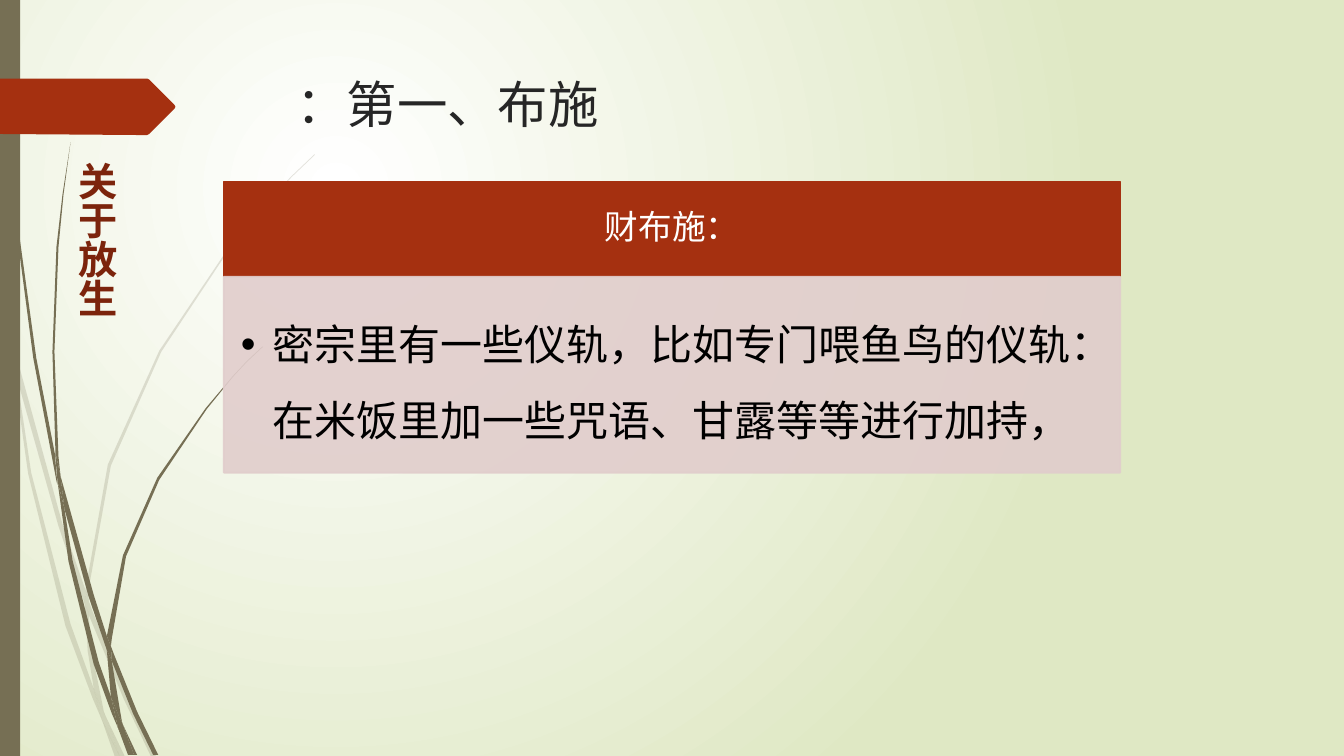
from lxml import etree
from pptx import Presentation
from pptx import util as u
from pptx.dml.color import RGBColor
from pptx.enum import lang, shapes, text
from pptx.oxml.ns import qn

WIDTH, HEIGHT = 13.33, 7.5
FONT = "League Spartan"
COLORS = {
    "white": "FFFFFF", "meadow": "DFE8C4", "stem": "766F54", "brick": "A53010",
    "title": "262626", "rose": "E1CDCC", "black": "000000", "side": "7C240C",
}
# Outlines are x,y corners in hundredths of an inch.
PALE_STEMS = [
    "11,350 9,322 0,282 0,299 10,344",
    "58,522 84,599 85,586 62,520 14,345 17,376",
    "92,607 88,596 88,610 123,694 150,751 155,751 127,692",
    "119,751 124,751 105,711",
    "93,683 70,619 31,469 17,376 11,350 28,470 65,621 92,693 101,714 99,707",
    "84,599 87,646 93,683 96,692 105,711 103,706 91,646 88,610 88,608",
    "88,584 110,462 160,349 229,245 268,198 290,175 312,154 312,153 289,175 268,197 "
    "228,244 158,348 107,461 85,584 85,586 88,596",
    "101,714 114,751 119,751",
    "88,608 88,610 88,596 85,586 84,599",
    "96,692 93,683 99,707 101,714 119,751 105,711",
]
DARK_STEMS = [
    "7,110 17,233 33,355 56,477 57,481 55,457 55,453 36,355 19,232 8,109 5,48 4,0 3,0 4,48",
    "88,592 106,645 106,633 106,631 93,590 60,472 64,505",
    "113,649 110,641 111,656 132,708 152,749 157,749 136,706",
    "110,691 98,657 72,556 64,505 57,477 68,557 93,659 111,708 117,722 116,717",
    "60,472 58,453 54,349 58,245 63,193 70,141 62,193 56,245 52,349 55,449",
    "133,749 136,749 122,719",
    "57,477 64,505 60,472 55,449 55,453",
    "111,633 125,552 158,476 205,406 231,374 245,359 261,344 260,344 245,358 231,373 "
    "204,405 156,474 122,551 106,631 110,641",
    "117,722 127,749 131,749",
    "106,645 110,691 116,706 122,719 121,716 111,656 109,651",
    "106,645 109,651 111,656 110,641 106,631 106,633",
    "116,706 110,691 116,717 117,722 130,749 133,749 122,719",
]
PAGE_TAG = "173,108 148,133 146,134 136,134 0,133 0,78 136,78 146,78 148,79 173,104 174,106"


def set_alpha(fill, percent):
    color = fill._xPr.find(qn("a:solidFill"))[0]
    etree.SubElement(color, qn("a:alpha"), val=str(percent * 1000))


def paint(fill, color, alpha=100):
    fill.solid()
    fill.fore_color.rgb = RGBColor.from_string(COLORS[color])
    if alpha < 100:
        set_alpha(fill, alpha)


def style(shape, color, alpha=100, outlined=False):
    shape.shadow.inherit = False
    paint(shape.fill, color, alpha)
    if outlined:
        shape.line.width = u.Pt(1.25)
        paint(shape.line.fill, color, alpha)
    else:
        shape.line.fill.background()


def add_outline(slide, corners, color, alpha=100):
    start, *rest = [tuple(map(int, corner.split(","))) for corner in corners.split()]
    builder = slide.shapes.build_freeform(*start, scale=u.Inches(0.01))
    builder.add_line_segments(rest, close=True)
    style(builder.convert_to_shape(), color, alpha)


def add_bar(slide, box, color, alpha=100, outlined=False):
    bar = slide.shapes.add_shape(shapes.MSO_SHAPE.RECTANGLE, *map(u.Inches, box))
    style(bar, color, alpha, outlined)
    return bar


def write(shape, words, size, color, insets=(0.1, 0.05, 0.1, 0.05), bold=False,
          anchor=text.MSO_ANCHOR.TOP, align=text.PP_ALIGN.LEFT, spacing=1.0):
    frame = shape.text_frame
    frame.word_wrap = True
    frame.vertical_anchor = anchor
    (frame.margin_left, frame.margin_top,
     frame.margin_right, frame.margin_bottom) = map(u.Inches, insets)
    paragraph = frame.paragraphs[0]
    paragraph.alignment = align
    paragraph.line_spacing = spacing
    run = paragraph.add_run()
    run.text = words
    font = run.font
    font.name, font.size, font.bold = FONT, u.Pt(size), bold
    font.color.rgb = RGBColor.from_string(COLORS[color])
    font.language_id = lang.MSO_LANGUAGE_ID.SIMPLIFIED_CHINESE
    latin = font._element.find(qn("a:latin"))
    latin.addnext(etree.Element(qn("a:ea"), typeface=FONT))
    return paragraph


def add_bullet(paragraph, indent):
    properties = paragraph._p.get_or_add_pPr()
    properties.set("marL", str(u.Inches(indent)))
    properties.set("indent", str(-u.Inches(indent)))
    etree.SubElement(properties, qn("a:buFont"), typeface="Arial")
    etree.SubElement(properties, qn("a:buChar"), char="•")


def draw_background(slide):
    """Radial glow centred a quarter of the way in from the top left."""
    fill = slide.background.fill
    fill.gradient()
    for stop, color in zip(fill.gradient_stops, ("white", "meadow")):
        stop.color.rgb = RGBColor.from_string(COLORS[color])
    gradient = slide.background._cSld.find(".//" + qn("a:gradFill"))
    gradient.remove(gradient.find(qn("a:lin")))
    glow = etree.Element(qn("a:path"), {"path": "circle"})
    etree.SubElement(glow, qn("a:fillToRect"), l="50000", t="50000", r="100000", b="100000")
    gradient.find(qn("a:gsLst")).addnext(glow)


def draw_grass(slide):
    for stems, alpha in ((PALE_STEMS, 20), (DARK_STEMS, 100)):
        for stem in stems:
            add_outline(slide, stem, "stem", alpha)
    add_bar(slide, (0, 0, 0.2, HEIGHT), "stem")
    add_outline(slide, PAGE_TAG, "brick")


def draw_title(slide, box):
    title = slide.shapes.add_textbox(*map(u.Inches, box))
    write(title, "：第一、布施", 36, "title")


def draw_giving_card(slide, box):
    left, top, width, height = box
    header_height = height * 0.327
    header = add_bar(slide, (left, top, width, header_height), "brick", outlined=True)
    write(header, "财布施：", 24, "white", (0.19, 0.11, 0.19, 0.11),
          anchor=text.MSO_ANCHOR.MIDDLE, align=text.PP_ALIGN.CENTER, spacing=0.9)
    ritual = add_bar(slide, (left, top + header_height, width, height - header_height),
                     "rose", 90, outlined=True)
    paragraph = write(
        ritual, "密宗里有一些仪轨，比如专门喂鱼鸟的仪轨：在米饭里加一些咒语、甘露等等进行加持，",
        30, "black", (0.17, 0.17, 0.23, 0.26), spacing=1.5)
    add_bullet(paragraph, 0.31)


def draw_side_heading(slide, box):
    heading = slide.shapes.add_textbox(*map(u.Inches, box))
    write(heading, "关于放生", 28, "side", bold=True)
    frame = heading.text_frame
    frame.word_wrap = False
    frame.auto_size = text.MSO_AUTO_SIZE.SHAPE_TO_FIT_TEXT
    frame._txBody.bodyPr.set("vert", "eaVert")


def main():
    deck = Presentation()
    deck.slide_width, deck.slide_height = u.Inches(WIDTH), u.Inches(HEIGHT)
    slide = deck.slides.add_slide(deck.slide_layouts[6])
    draw_background(slide)
    draw_grass(slide)
    draw_title(slide, (2.84, 0.68, 9.75, 1.4))
    draw_giving_card(slide, (2.22, 1.8, 8.89, 2.89))
    draw_side_heading(slide, (0.57, 1.51, 0.67, 1.65))
    deck.save("out.pptx")


if __name__ == "__main__":
    main()
